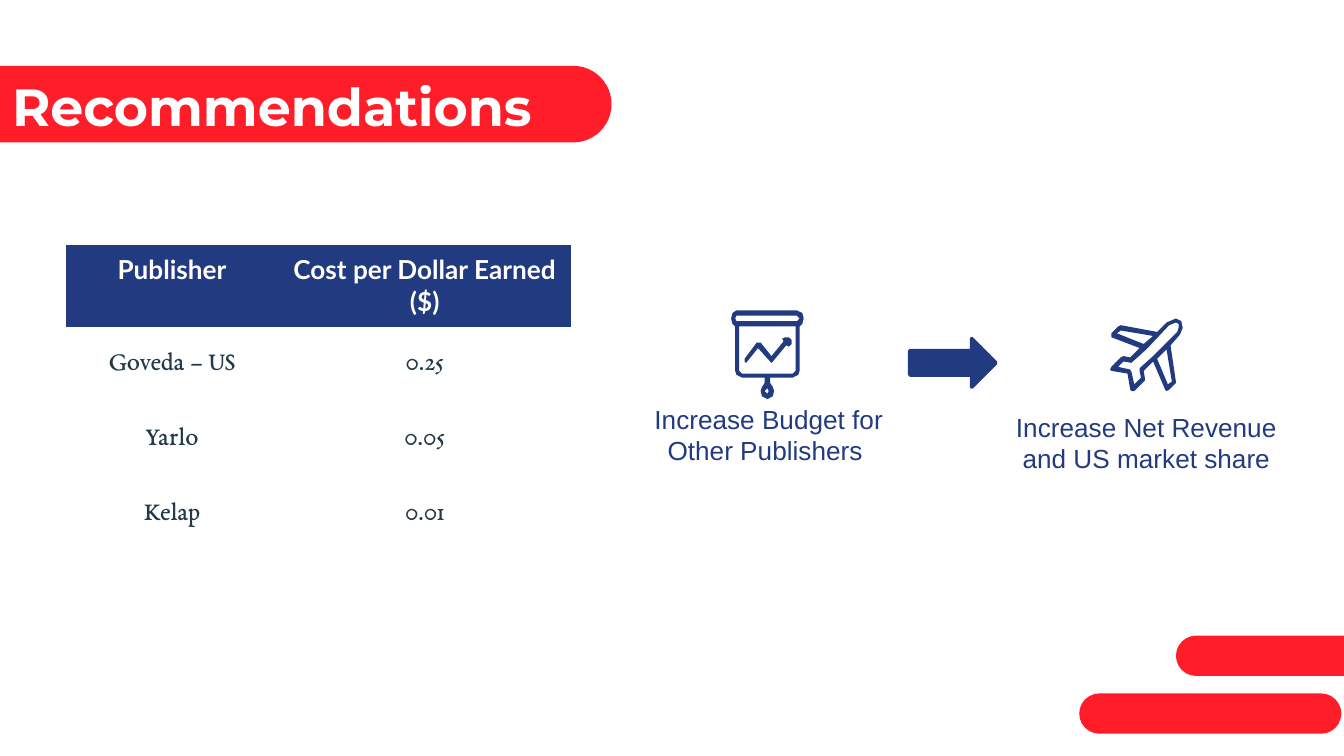
import pptx
import pptx.dml.color
import pptx.enum.shapes
import pptx.enum.text
import pptx.oxml.ns
import pptx.util

Inches, Pt = pptx.util.Inches, pptx.util.Pt
SHAPE = pptx.enum.shapes.MSO_SHAPE
ALIGN = pptx.enum.text.PP_ALIGN
ANCHOR = pptx.enum.text.MSO_ANCHOR

COLORS = {"red": "FF1D2A", "navy": "223A80", "slate": "223947", "white": "FFFFFF"}
NO_STYLE = "{2D5ABB26-0587-4C30-8999-92F81FD0307C}"

TITLE = "Recommendations"
ROWS = [
    ("Publisher", "Cost per Dollar Earned\n($)"),
    ("Goveda – US", "0.25"),
    ("Yarlo", "0.05"),
    ("Kelap", "0.01"),
]
COL_WIDTHS = [1.58, 2.18]
ROW_HEIGHTS = [0.61, 0.56, 0.56, 0.56]

CAPTIONS = [
    ("Increase Net Revenue and US market share", (7.45, 2.96, 2.16, 0.67)),
    ("Increase Budget for Other Publishers ", (4.71, 2.9, 2.02, 0.39)),
]
PILLS = [
    (8.03, 5.16, 1.95, 0.3),
    (8.75, 4.73, 2.44, 0.3),
    (-1.53, 0.49, 6.08, 0.57),
]

# Icon outlines in hundredths of an inch; contours after the first are holes.
BOARD = [
    [(548, 231), (593, 231), (597, 233), (598, 237), (597, 241), (595, 243),
     (595, 276), (594, 279), (590, 281), (573, 281), (573, 285), (575, 288),
     (576, 291), (575, 295), (571, 297), (567, 295), (566, 291), (567, 288),
     (569, 285), (569, 281), (552, 281), (548, 279), (547, 276), (547, 243),
     (545, 241), (544, 237), (545, 233)],
    [(548, 235), (547, 237), (548, 239), (593, 239), (595, 237), (593, 235)],
    [(550, 243), (550, 276), (552, 278), (590, 278), (592, 276), (592, 243)],
    [(571, 289), (569, 291), (571, 293), (572, 291)],
]
TREND = [
    [(584, 251), (587, 251), (589, 253), (589, 256), (587, 258), (585, 257),
     (575, 269), (574, 270), (573, 269), (564, 259), (556, 269), (555, 270),
     (554, 269), (554, 267), (563, 255), (564, 255), (566, 255), (574, 265),
     (583, 254), (582, 252)],
]
PLANE = [
    [(875, 237), (879, 239), (880, 244), (878, 249), (871, 257), (875, 284),
     (875, 285), (870, 290), (868, 291), (867, 290), (858, 269), (851, 276),
     (852, 282), (852, 283), (844, 291), (842, 291), (841, 290), (839, 278),
     (827, 276), (826, 275), (827, 273), (834, 266), (836, 265), (841, 266),
     (848, 259), (827, 251), (827, 248), (832, 243), (834, 242), (861, 247),
     (868, 240)],
    [(834, 246), (831, 248), (851, 256), (858, 250)],
    [(875, 240), (870, 242), (853, 260), (843, 269), (842, 270), (836, 269),
     (832, 273), (841, 275), (842, 277), (844, 286), (849, 281), (848, 276),
     (848, 274), (858, 265), (876, 247), (877, 244), (877, 241)],
    [(868, 260), (861, 267), (869, 286), (872, 284)],
]


def rgb(name):
    return pptx.dml.color.RGBColor.from_string(COLORS[name])


def write(tf, text, font="Arial", size=14, color="navy", bold=False,
          align=ALIGN.CENTER, after=0):
    tf.text = text
    tf.word_wrap = True
    for p in tf.paragraphs:
        p.alignment = align
        p.space_after = Pt(after)
        for r in p.runs:
            r.font.name, r.font.size, r.font.bold = font, Pt(size), bold
            r.font.color.rgb = rgb(color)


def set_insets(target, x, y):
    target.margin_left = target.margin_right = Inches(x)
    target.margin_top = target.margin_bottom = Inches(y)


def paint(sp, color, line=0):
    sp.shadow.inherit = False
    sp.fill.solid()
    sp.fill.fore_color.rgb = rgb(color)
    if line:
        sp.line.color.rgb = rgb(color)
        sp.line.width = Pt(line)
    else:
        sp.line.fill.background()


def add_preset(slide, kind, box, color, line=0):
    sp = slide.shapes.add_shape(kind, *map(Inches, box))
    paint(sp, color, line)
    return sp


def add_icon(slide, contours):
    fb = slide.shapes.build_freeform(*contours[0][0], scale=Inches(0.01))
    fb.add_line_segments(contours[0][1:], close=True)
    for hole in contours[1:]:
        fb.move_to(*hole[0])
        fb.add_line_segments(hole[1:], close=True)
    paint(fb.convert_to_shape(), "navy")


def add_cost_table(slide, left, top):
    frame = slide.shapes.add_table(
        len(ROWS), len(COL_WIDTHS), Inches(left), Inches(top),
        Inches(sum(COL_WIDTHS)), Inches(sum(ROW_HEIGHTS)))
    table = frame.table
    table.horz_banding = False
    style = frame.element.find(".//" + pptx.oxml.ns.qn("a:tableStyleId"))
    style.text = NO_STYLE
    for col, width in zip(table.columns, COL_WIDTHS):
        col.width = Inches(width)
    for i, (row, height) in enumerate(zip(table.rows, ROW_HEIGHTS)):
        row.height = Inches(height)
        for cell, text in zip(row.cells, ROWS[i]):
            set_insets(cell, 0.1, 0.07)
            if i == 0:
                cell.fill.solid()
                cell.fill.fore_color.rgb = rgb("navy")
                write(cell.text_frame, text, font="Lato", color="white", bold=True)
            else:
                cell.fill.background()
                cell.vertical_anchor = ANCHOR.MIDDLE
                write(cell.text_frame, text, font="EB Garamond", color="slate")


def main():
    prs = pptx.Presentation()
    prs.slide_width = Inches(10)
    prs.slide_height = prs.slide_width * 9 // 16
    slide = prs.slides.add_slide(prs.slide_layouts[5])

    title = slide.shapes.title
    title.left, title.top, title.width, title.height = map(
        Inches, (-0.01, 0.45, 4.35, 0.63))
    tf = title.text_frame
    write(tf, TITLE, font="Montserrat", size=28, color="white", bold=True,
          align=ALIGN.LEFT)
    tf.auto_size = pptx.enum.text.MSO_AUTO_SIZE.NONE
    tf.vertical_anchor = ANCHOR.TOP
    set_insets(tf, 0.1, 0.1)

    for box in PILLS:
        add_preset(slide, SHAPE.ROUNDED_RECTANGLE, box, "red").adjustments[0] = 0.5
    # The title placeholder comes first by default; lift it above its pill.
    slide.shapes[-1].element.addnext(title.element)

    for text, box in CAPTIONS:
        tf = slide.shapes.add_textbox(*map(Inches, box)).text_frame
        set_insets(tf, 0.1, 0.1)
        write(tf, text, after=16)
    for contours in (BOARD, TREND, PLANE):
        add_icon(slide, contours)
    add_cost_table(slide, 0.49, 1.82)
    add_preset(slide, SHAPE.RIGHT_ARROW, (6.77, 2.52, 0.64, 0.36), "navy", line=2)

    prs.save("out.pptx")


if __name__ == "__main__":
    main()
